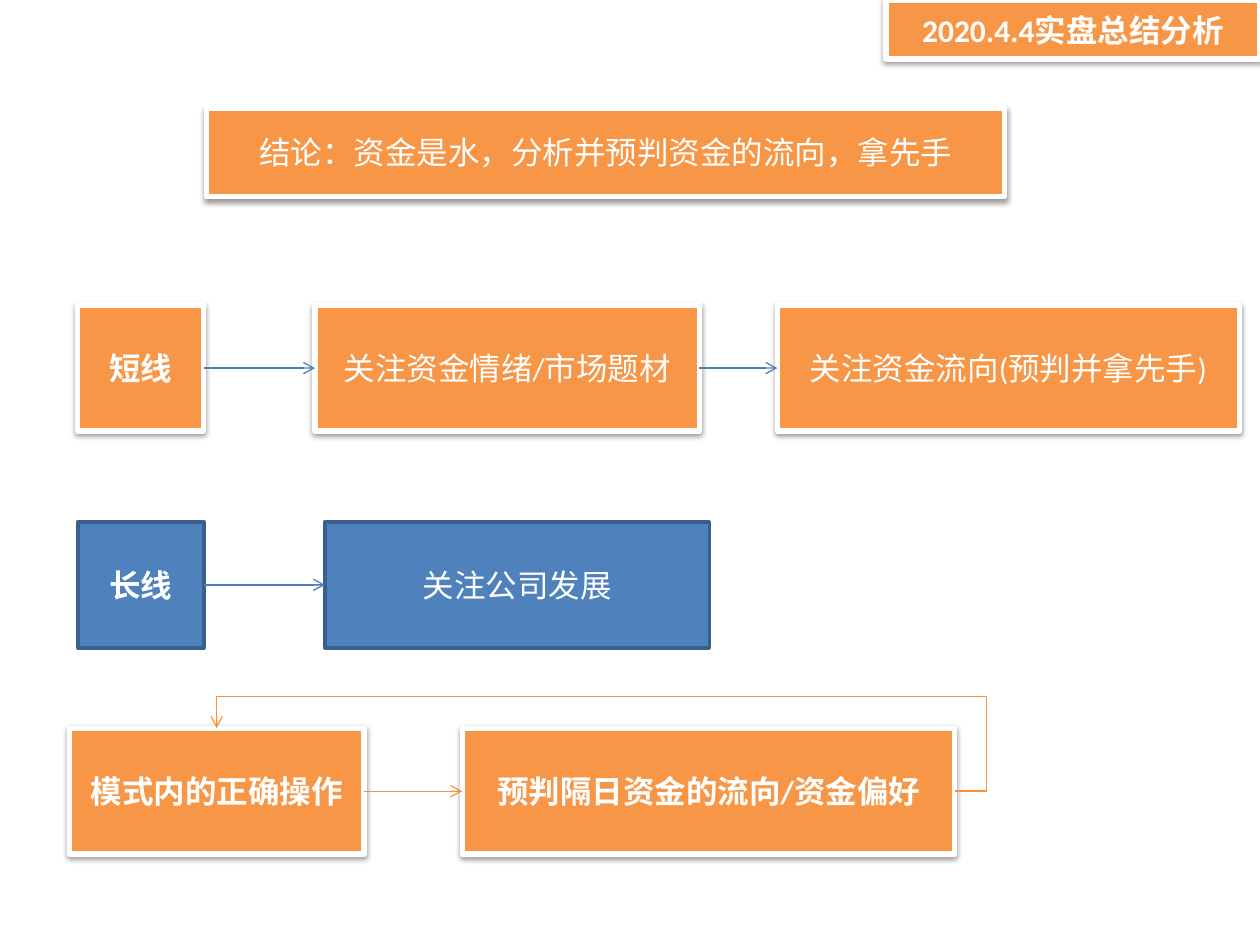
from lxml import etree
from pptx import Presentation
from pptx import util as u
from pptx.dml.color import RGBColor
from pptx.enum import shapes, text
from pptx.oxml import parse_xml
from pptx.oxml.ns import nsdecls, qn

ORANGE, BLUE, WHITE = "F79646", "4F81BD", "FFFFFF"
BLUE_EDGE, BLUE_LINE, ORANGE_LINE = "3A5F8C", "4B7EBC", "F69240"
RIGHT, LEFT, TOP = 3, 1, 0
SIDE = 2.54
SHADOW = (
    f'<a:outerShdw {nsdecls("a")} blurRad="40000" dist="20000" dir="5400000" rotWithShape="0">'
    '<a:srgbClr val="000000"><a:alpha val="38000"/></a:srgbClr></a:outerShdw>'
)


def color(value):
    return RGBColor.from_string(value)


def add_box(page, words, left, top, width, height=SIDE, bold=False, fill=ORANGE):
    box = page.shapes.add_shape(
        shapes.MSO_SHAPE.RECTANGLE, u.Cm(left), u.Cm(top), u.Cm(width), u.Cm(height)
    )
    raised = fill == ORANGE
    box.fill.solid()
    box.fill.fore_color.rgb = color(fill)
    box.line.color.rgb = color(WHITE if raised else BLUE_EDGE)
    box.line.width = u.Pt(3 if raised else 2)
    box.shadow.inherit = False
    if raised:
        box._element.spPr.find(qn("a:effectLst")).append(parse_xml(SHADOW))
    frame = box.text_frame
    frame.word_wrap = True
    frame.vertical_anchor = text.MSO_ANCHOR.MIDDLE
    para = frame.paragraphs[0]
    para.text = words
    para.alignment = text.PP_ALIGN.CENTER
    para.font.name = "Calibri"
    para.font.size = u.Pt(18)
    para.font.bold = bold
    para.font.color.rgb = color(WHITE)
    return box


def add_arrow(page, start, end, line_color, kind=shapes.MSO_CONNECTOR.STRAIGHT, end_site=LEFT):
    arrow = page.shapes.add_connector(kind, 0, 0, 0, 0)
    arrow.begin_connect(start, RIGHT)
    arrow.end_connect(end, end_site)
    arrow.line.color.rgb = color(line_color)
    arrow.line.width = u.Pt(0.75)
    properties = arrow._element.spPr
    etree.SubElement(properties.find(qn("a:ln")), qn("a:tailEnd"), type="arrow")
    etree.SubElement(properties, qn("a:effectLst"))
    return arrow


def route_over(arrow, side_adjust, top_adjust):
    geometry = arrow._element.spPr.find(qn("a:prstGeom"))
    geometry.set("prst", "bentConnector4")
    guides = geometry.find(qn("a:avLst"))
    if guides is None:
        guides = etree.SubElement(geometry, qn("a:avLst"))
    for name, value in (("adj1", side_adjust), ("adj2", top_adjust)):
        etree.SubElement(guides, qn("a:gd"), name=name, fmla=f"val {value}")


def main():
    deck = Presentation()
    deck.slide_width, deck.slide_height = u.Cm(25.4), u.Cm(19.05)
    page = deck.slides.add_slide(deck.slide_layouts[6])

    add_box(page, "结论：资金是水，分析并预判资金的流向，拿先手", 4.17, 2.18, 16.08, 1.78)
    add_box(page, "2020.4.4实盘总结分析", 17.86, 0, 7.54, 1.19, bold=True)

    short_top, long_top, cycle_top = 6.15, 10.52, 14.68
    short = add_box(page, "短线", 1.57, short_top, SIDE, bold=True)
    mood = add_box(page, "关注资金情绪/市场题材", 6.35, short_top, 7.75)
    flow = add_box(page, "关注资金流向(预判并拿先手)", 15.67, short_top, 9.32)
    long = add_box(page, "长线", 1.57, long_top, SIDE, bold=True, fill=BLUE)
    growth = add_box(page, "关注公司发展", 6.55, long_top, 7.75, fill=BLUE)
    for start, end in ((short, mood), (mood, flow), (long, growth)):
        add_arrow(page, start, end, BLUE_LINE)

    action = add_box(page, "模式内的正确操作", 1.4, cycle_top, 5.94, bold=True)
    forecast = add_box(page, "预判隔日资金的流向/资金偏好", 9.32, cycle_top, 9.93, bold=True)
    elbow = shapes.MSO_CONNECTOR.ELBOW
    add_arrow(page, action, forecast, ORANGE_LINE, elbow)
    route_over(add_arrow(page, forecast, action, ORANGE_LINE, elbow, TOP), -4300, 150000)

    deck.save("out.pptx")


if __name__ == "__main__":
    main()
